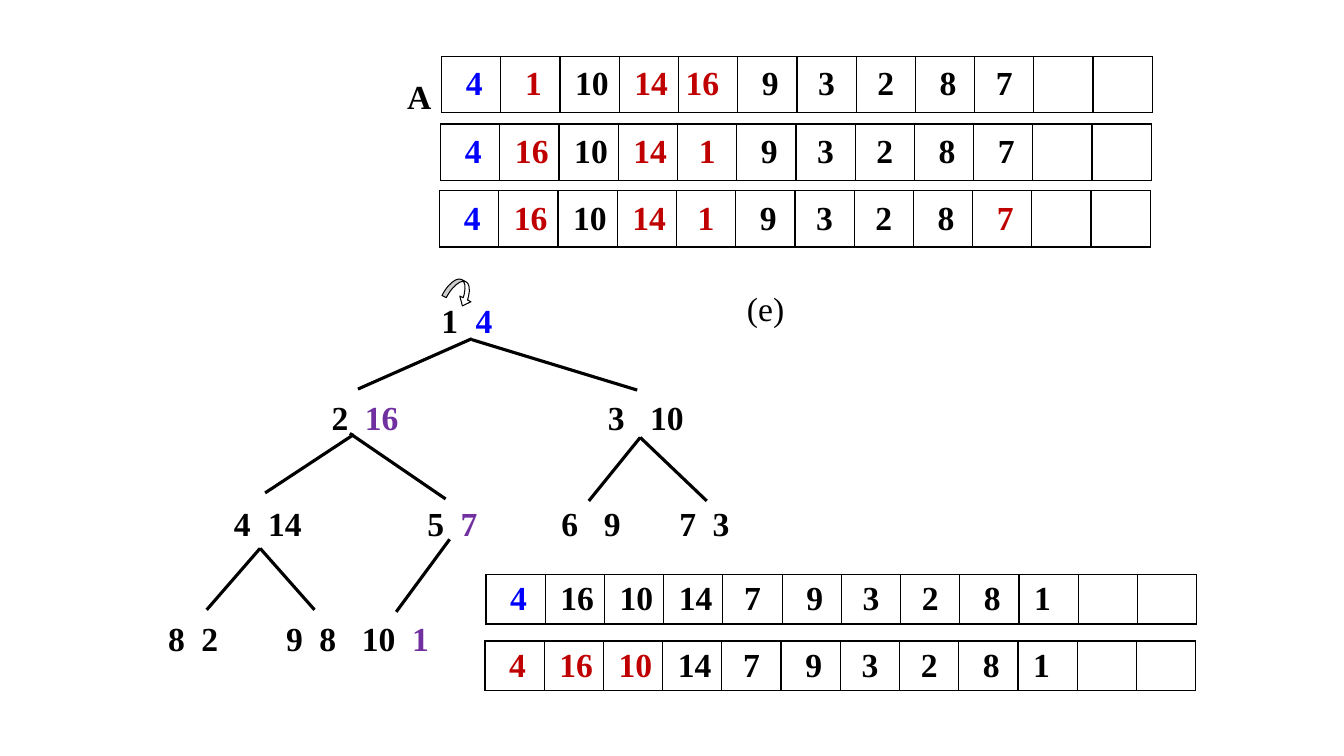
from lxml import etree
from pptx import Presentation
from pptx.dml.color import RGBColor
from pptx.enum.shapes import MSO_CONNECTOR, MSO_SHAPE
from pptx.enum.text import MSO_ANCHOR, PP_ALIGN
from pptx.oxml.ns import qn
from pptx.util import Inches, Pt

STRAIGHT = MSO_CONNECTOR.STRAIGHT
CURVED_ARROW = MSO_SHAPE.CURVED_LEFT_ARROW
MIDDLE = MSO_ANCHOR.MIDDLE
LEFT, CENTER = PP_ALIGN.LEFT, PP_ALIGN.CENTER

BLACK, WHITE, BLUE, RED, PURPLE = "000000", "FFFFFF", "0000FF", "C00000", "7030A0"
CENTERED = None
COLUMNS = 12
ARRAY_WIDTH = 7.05
INDENTS = [0.17, 0.08, 0.08, 0.08, CENTERED, 0.17, CENTERED, CENTERED, 0.17, 0.17]

ARRAYS = [
    (4.38, 0.56, 0.56, [4, 1, 10, 14, 16, 9, 3, 2, 8, 7],
     {0: BLUE, 1: RED, 3: RED, 4: RED}, {1: 0.17, 4: 0, 9: CENTERED}),
    (4.37, 1.23, 0.56, [4, 16, 10, 14, 1, 9, 3, 2, 8, 7],
     {0: BLUE, 1: RED, 3: RED, 4: RED}, {}),
    (4.36, 1.89, 0.56, [4, 16, 10, 14, 1, 9, 3, 2, 8, 7],
     {0: BLUE, 1: RED, 3: RED, 4: RED, 9: RED}, {}),
    (4.82, 5.7, 0.49, [4, 16, 10, 14, 7, 9, 3, 2, 8, 1],
     {0: BLUE}, {9: 0.08}),
    (4.81, 6.36, 0.49, [4, 16, 10, 14, 7, 9, 3, 2, 8, 1],
     {0: RED, 1: RED, 2: RED}, {9: 0.08}),
]

TREE_LEVELS = [
    (2.93, [4.38, 4.72], [("1\t", BLACK), ("4", BLUE)]),
    (3.89, [3.29, 3.62, 6.03, 6.45],
     [("2\t", BLACK), ("16\t", PURPLE), ("3\t10", BLACK)]),
    (4.94, [2.32, 2.66, 4.24, 4.57, 5.57, 5.99, 6.74, 7.07],
     [("4\t14\t5\t", BLACK), ("7\t", PURPLE), ("6\t9\t7\t3", BLACK)]),
    (6.08, [1.67, 2, 2.84, 3.17, 3.59, 4.09],
     [("8\t2\t9\t8\t10\t", BLACK), ("1", PURPLE)]),
]

BRANCHES = [
    (4.68, 3.36, 3.55, 3.86), (4.68, 3.37, 6.32, 3.87),
    (3.51, 4.31, 2.63, 4.89), (3.47, 4.3, 4.42, 4.95),
    (6.35, 4.34, 5.84, 4.97), (6.35, 4.34, 7.01, 4.97),
    (2.58, 5.44, 2.05, 6.05), (2.58, 5.44, 3.12, 6.05),
    (4.46, 5.35, 3.93, 6.07),
]


def color(value):
    return RGBColor.from_string(value)


class HeapSlide:
    """Draws arrays and tree parts on one slide in a shared style."""

    def __init__(self, slide, font_name="Times New Roman", font_size=24):
        self.slide = slide
        self.font_name = font_name
        self.font_size = font_size

    def style(self, paragraph, bold=True, text_color=BLACK):
        font = paragraph.font
        font.name = self.font_name
        font.size = Pt(self.font_size)
        font.bold = bold
        font.color.rgb = color(text_color)

    def text(self, left, top, width, runs, bold=True, tabs=()):
        box = self.slide.shapes.add_textbox(
            Inches(left), Inches(top), Inches(width), Inches(0.5))
        box.text_frame.word_wrap = True
        paragraph = box.text_frame.paragraphs[0]
        if tabs:
            properties = paragraph._p.get_or_add_pPr()
            tab_list = etree.SubElement(properties, qn("a:tabLst"))
            for position in tabs:
                etree.SubElement(tab_list, qn("a:tab"),
                                 pos=str(Inches(position)), algn="l")
        self.style(paragraph, bold)
        for words, text_color in runs:
            run = paragraph.add_run()
            run.text = words
            run.font.color.rgb = color(text_color)

    def tree_level(self, top, stops, runs):
        start = stops[0]
        self.text(start - 0.1, top, stops[-1] - start + 0.6, runs,
                  tabs=[stop - start for stop in stops[1:]])

    def branch(self, start_x, start_y, end_x, end_y):
        line = self.slide.shapes.add_connector(
            STRAIGHT, Inches(start_x), Inches(start_y), Inches(end_x), Inches(end_y))
        line.line.color.rgb = color(BLACK)
        line.line.width = Pt(2.25)
        etree.SubElement(line._element.spPr, qn("a:effectLst"))

    def turn_arrow(self, left, top, width, height, rotation, adjustments):
        shape = self.slide.shapes.add_shape(
            CURVED_ARROW, Inches(left), Inches(top), Inches(width), Inches(height))
        shape.rotation = rotation
        for index, value in enumerate(adjustments):
            shape.adjustments[index] = value
        shape.shadow.inherit = False
        shape.fill.solid()
        shape.fill.fore_color.rgb = color(WHITE)
        shape.line.color.rgb = color(BLACK)
        shape.line.width = Pt(0.75)

    def border(self, cell):
        properties = cell._tc.get_or_add_tcPr()
        for side in ("lnL", "lnR", "lnT", "lnB"):
            line = etree.SubElement(properties, qn(f"a:{side}"), w=str(Pt(1)))
            fill = etree.SubElement(line, qn("a:solidFill"))
            etree.SubElement(fill, qn("a:srgbClr"), val=BLACK)

    def array(self, left, top, height, values, colors, indent_changes):
        table = self.slide.shapes.add_table(
            1, COLUMNS, Inches(left), Inches(top),
            Inches(ARRAY_WIDTH), Inches(height)).table
        table.first_row = table.horz_banding = False
        indents = dict(enumerate(INDENTS)) | indent_changes
        for index, column in enumerate(table.columns):
            column.width = Inches(ARRAY_WIDTH / COLUMNS)
            cell = table.cell(0, index)
            self.border(cell)
            cell.fill.solid()
            cell.fill.fore_color.rgb = color(WHITE)
            cell.vertical_anchor = MIDDLE
            cell.margin_top = cell.margin_bottom = 0
            indent = indents.get(index)
            cell.margin_left = Inches(0.07 + (indent or 0))
            cell.margin_right = Inches(0.07 if indent is CENTERED else 0)
            if index < len(values):
                cell.text = str(values[index])
            paragraph = cell.text_frame.paragraphs[0]
            paragraph.alignment = CENTER if indent is CENTERED else LEFT
            self.style(paragraph, text_color=colors.get(index, BLACK))


def main():
    presentation = Presentation()
    presentation.slide_width = Inches(13.33)
    presentation.slide_height = Inches(7.5)
    heap = HeapSlide(presentation.slides.add_slide(presentation.slide_layouts[6]))
    for branch in BRANCHES:
        heap.branch(*branch)
    for level in TREE_LEVELS:
        heap.tree_level(*level)
    heap.text(7.31, 2.81, 0.58, [("(e)", BLACK)], bold=False)
    heap.turn_arrow(4.45, 2.75, 0.23, 0.29, 297, (0.21, 0.54, 0.33))
    heap.text(3.94, 0.7, 0.45, [("A", BLACK)])
    for array in ARRAYS:
        heap.array(*array)
    presentation.save("out.pptx")


if __name__ == "__main__":
    main()
